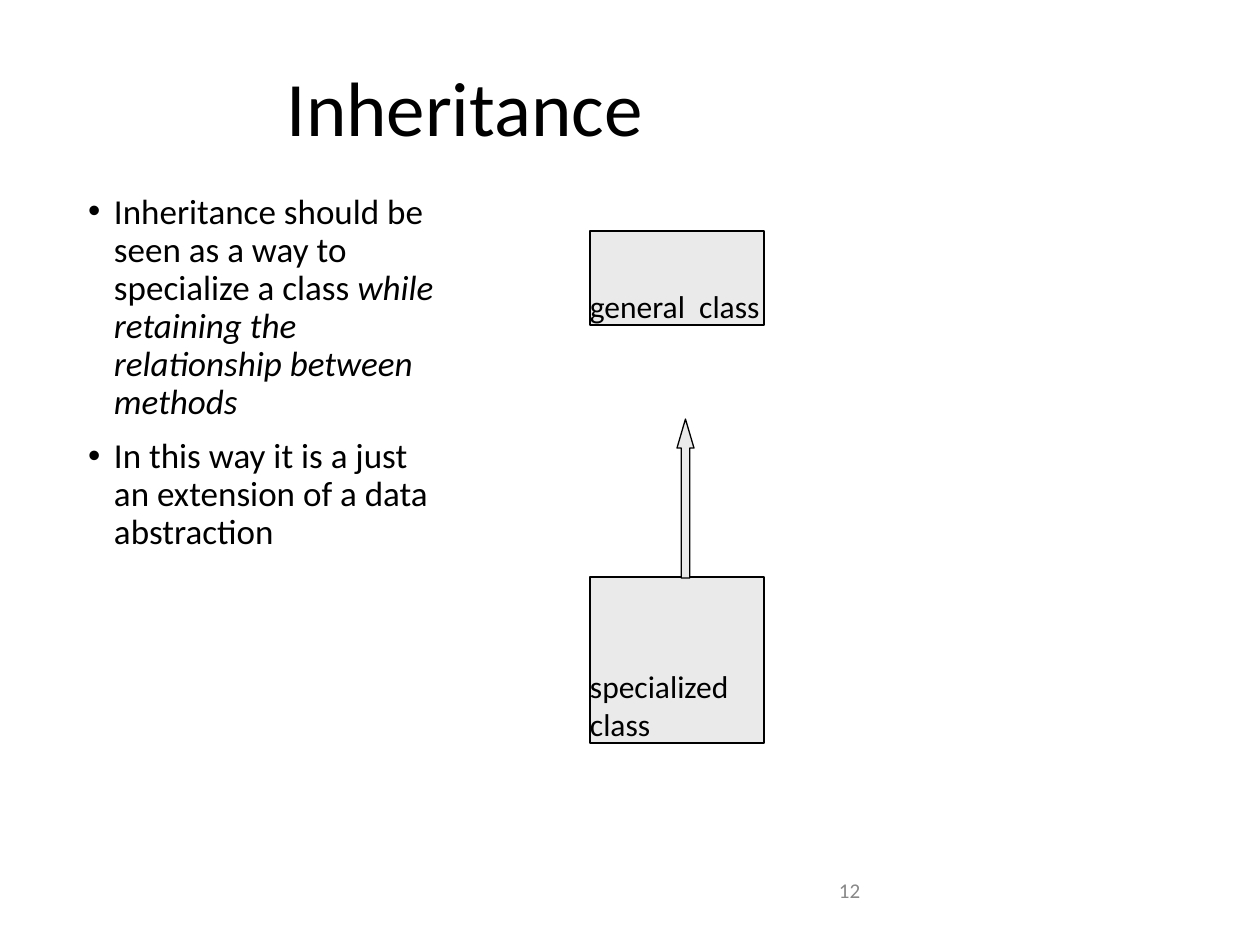
import pptx
import pptx.dml.color
import pptx.enum.shapes
import pptx.enum.text
import pptx.oxml
import pptx.oxml.ns
import pptx.util

EMU_PER_PX = 914400 / 126
FONT = "Calibri"
BLACK = "000000"
GREY = "EAEAEA"
ALIGN = pptx.enum.text.PP_ALIGN
ANCHOR = pptx.enum.text.MSO_ANCHOR
SHAPE = pptx.enum.shapes.MSO_SHAPE


def px(length):
    return pptx.util.Emu(round(length * EMU_PER_PX))


def color(code):
    return pptx.dml.color.RGBColor.from_string(code)


def set_font(para, size, code=BLACK):
    para.font.name = FONT
    para.font.size = pptx.util.Pt(size)
    para.font.color.rgb = color(code)


def prepare_frame(frame, top_margin=0, anchor=ANCHOR.TOP):
    frame.word_wrap = True
    frame.vertical_anchor = anchor
    frame.margin_left = frame.margin_right = frame.margin_bottom = 0
    frame.margin_top = px(top_margin)


def add_text(page, area, text, size, code=BLACK, align=ALIGN.LEFT):
    box = page.shapes.add_textbox(*map(px, area))
    prepare_frame(box.text_frame, top_margin=1)
    para = box.text_frame.paragraphs[0]
    para.text = text
    para.alignment = align
    set_font(para, size, code)


def add_bullet(para):
    properties = para._p.get_or_add_pPr()
    properties.set("marL", str(px(28)))
    properties.set("indent", str(-px(26)))
    namespace = pptx.oxml.ns.nsdecls("a")
    for xml in (f'<a:buFont {namespace} typeface="Arial"/>',
                f'<a:buChar {namespace} char="•"/>'):
        properties.append(pptx.oxml.parse_xml(xml))


def add_bullet_list(page, area, items):
    """Each item is (plain text, italic text, line spacing, space before)."""
    box = page.shapes.add_textbox(*map(px, area))
    frame = box.text_frame
    prepare_frame(frame, top_margin=6)
    for index, (plain, italic, spacing, before) in enumerate(items):
        para = frame.paragraphs[0] if index == 0 else frame.add_paragraph()
        add_bullet(para)
        para.line_spacing = spacing
        if before:
            para.space_before = pptx.util.Pt(before)
        set_font(para, 20)
        para.add_run().text = plain
        if italic:
            span = para.add_run()
            span.text = italic
            span.font.italic = True


def add_outlined_shape(page, kind, area):
    shape = page.shapes.add_shape(kind, *map(px, area))
    shape.shadow.inherit = False
    shape.fill.solid()
    shape.fill.fore_color.rgb = color(GREY)
    shape.line.color.rgb = color(BLACK)
    shape.line.width = pptx.util.Pt(0.75)
    return shape


def add_class_box(page, area, label):
    box = add_outlined_shape(page, SHAPE.RECTANGLE, area)
    prepare_frame(box.text_frame, anchor=ANCHOR.BOTTOM)
    para = box.text_frame.paragraphs[0]
    para.text = label
    para.alignment = ALIGN.LEFT
    set_font(para, 18)


def add_up_arrow(page, area, head_height):
    arrow = add_outlined_shape(page, SHAPE.UP_ARROW, area)
    arrow.adjustments[0] = 0.5
    arrow.adjustments[1] = head_height / area[2]


def main():
    deck = pptx.Presentation()
    deck.slide_width, deck.slide_height = px(1260), px(945)
    page = deck.slides.add_slide(deck.slide_layouts[6])

    add_text(page, (839, 877, 25, 26), "12", 12, "888888")
    add_text(page, (285, 59, 360, 96), "Inheritance", 44, align=ALIGN.CENTER)
    add_bullet_list(page, (86, 188, 349, 364), [
        ("Inheritance should be seen as a way to specialize a class ",
         "while retaining the relationship between methods",
         pptx.util.Pt(21.7), 0),
        ("In this way it is a just an extension of a data abstraction",
         "", 0.9, 9.5),
    ])
    add_class_box(page, (590, 231, 174, 94), "general  class")
    add_class_box(page, (590, 577, 174, 166), "specialized class")
    add_up_arrow(page, (677, 419, 17, 159), head_height=29)

    deck.save("out.pptx")


if __name__ == "__main__":
    main()
